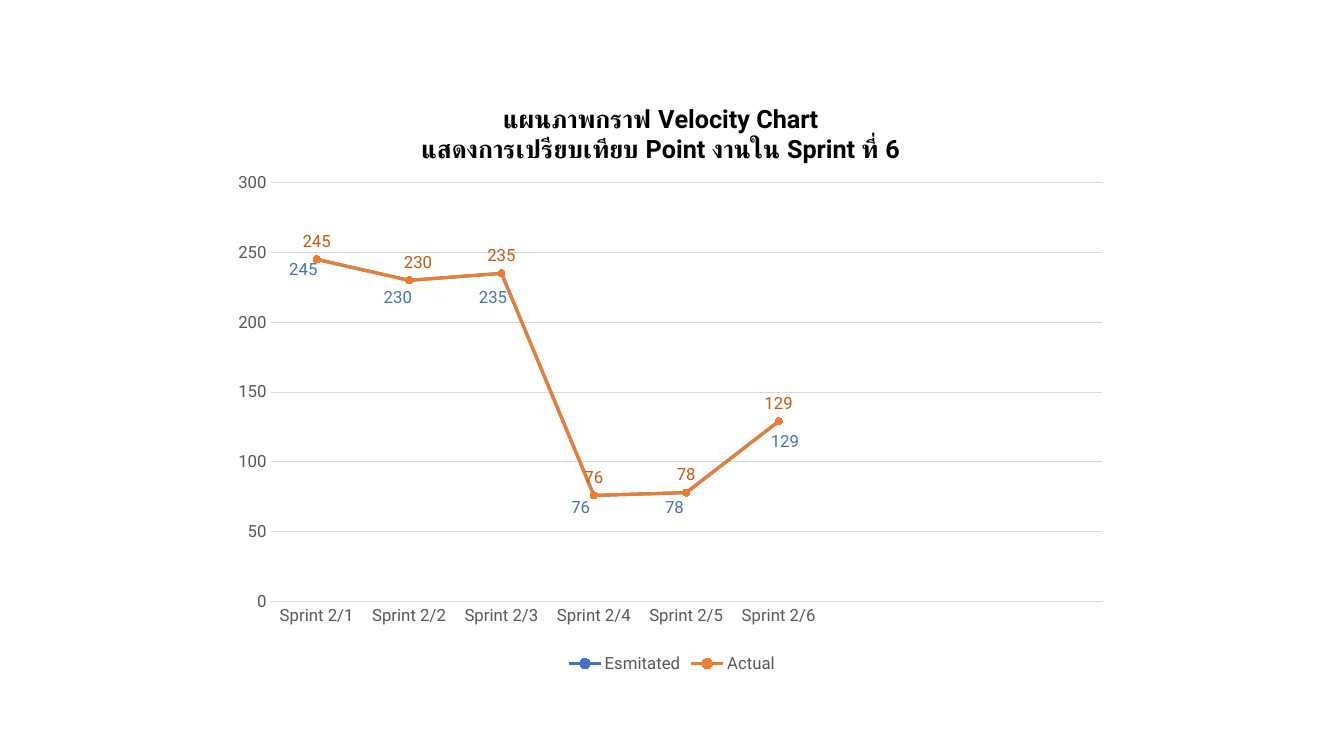
import pptx
import pptx.chart.data
import pptx.dml.color
import pptx.enum.chart
import pptx.enum.text
import pptx.oxml
import pptx.oxml.ns
import pptx.util

Pt = pptx.util.Pt
FONT = "Roboto"
COLORS = {
    "black": "000000",
    "grey": "595959",
    "grid": "D9D9D9",
    "estimated": "4472C4",
    "actual": "ED7D31",
    "actual_label": "C55A11",
}
POINTS = [245, 230, 235, 76, 78, 129]
EMPTY_SPRINTS = 3
TITLE_LINES = [
    "แผนภาพกราฟ Velocity Chart",
    "แสดงการเปรียบเทียบ Point งานใน Sprint ที่ 6",
]
ESTIMATE_POSITIONS = [
    (199.5, 181.5), (267, 201.5), (335, 201.5),
    (401, 351.5), (468, 351.5), (543.5, 304),
]


def rgb(name):
    return pptx.dml.color.RGBColor.from_string(COLORS[name])


def style_font(font, color, size=12, bold=False):
    font.name = FONT
    font.size = Pt(size)
    font.bold = bold
    font.color.rgb = rgb(color)


def style_line(line, color, width):
    line.color.rgb = rgb(color)
    line.width = Pt(width)


def place(predecessor, target=None, **fractions):
    following = predecessor.getnext()
    if following is not None and following.tag == pptx.oxml.ns.qn("c:layout"):
        predecessor.getparent().remove(following)
    parts = [f'<c:layoutTarget val="{target}"/>'] if target else []
    if target or "edge" in fractions:
        parts += ['<c:xMode val="edge"/>', '<c:yMode val="edge"/>']
    parts += [f'<c:{key} val="{fractions[key]}"/>' for key in "xywh" if key in fractions]
    namespace = pptx.oxml.ns.nsdecls("c")
    predecessor.addnext(pptx.oxml.parse_xml(
        f"<c:layout {namespace}><c:manualLayout>{''.join(parts)}</c:manualLayout></c:layout>"))


def add_title(chart):
    chart.has_title = True
    frame = chart.chart_title.text_frame
    for index, text in enumerate(TITLE_LINES):
        paragraph = frame.add_paragraph() if index else frame.paragraphs[0]
        run = paragraph.add_run()
        run.text = text
        style_font(run.font, "black", 18, True)
    title = chart.chart_title._element
    place(title.find(pptx.oxml.ns.qn("c:tx")), edge=True, x=0.217, y=0.035)


def style_axes(chart):
    for axis in (chart.category_axis, chart.value_axis):
        axis.major_tick_mark = pptx.enum.chart.XL_TICK_MARK.NONE
        axis.minor_tick_mark = pptx.enum.chart.XL_TICK_MARK.NONE
        style_font(axis.tick_labels.font, "grey")
    style_line(chart.category_axis.format.line, "grid", 0.75)
    value_axis = chart.value_axis
    value_axis.minimum_scale = 0
    value_axis.maximum_scale = 300
    value_axis.major_unit = 50
    value_axis.format.line.fill.background()
    value_axis.has_major_gridlines = True
    style_line(value_axis.major_gridlines.format.line, "grid", 0.75)


def style_series(series, color):
    series.smooth = False
    style_line(series.format.line, color, 2.25)
    marker = series.marker
    marker.style = pptx.enum.chart.XL_MARKER_STYLE.CIRCLE
    marker.size = 5
    marker.format.fill.solid()
    marker.format.fill.fore_color.rgb = rgb(color)
    style_line(marker.format.line, color, 0.75)


def label_actual(series):
    above = pptx.enum.chart.XL_LABEL_POSITION.ABOVE
    labels = series.data_labels
    labels.show_value = True
    labels.position = above
    style_font(labels.font, "actual_label")
    shifted = series.points[1].data_label
    shifted.position = above
    style_font(shifted.font, "actual_label")
    index = labels._element.find(pptx.oxml.ns.qn("c:dLbl")).find(pptx.oxml.ns.qn("c:idx"))
    place(index, x=0.01, y=0)


def add_velocity_chart(slide):
    data = pptx.chart.data.CategoryChartData()
    sprints = [f"Sprint 2/{number}" for number in range(1, len(POINTS) + 1)]
    data.categories = sprints + [""] * EMPTY_SPRINTS
    for name in ("Esmitated", "Actual"):
        data.add_series(name, POINTS + [None] * EMPTY_SPRINTS)
    chart = slide.shapes.add_chart(
        pptx.enum.chart.XL_CHART_TYPE.LINE_MARKERS,
        Pt(160), Pt(57), Pt(640), Pt(427), data).chart
    style_font(chart.font, "black", 10)
    add_title(chart)
    style_axes(chart)
    chart.has_legend = True
    chart.legend.position = pptx.enum.chart.XL_LEGEND_POSITION.BOTTOM
    chart.legend.include_in_layout = False
    style_font(chart.legend.font, "grey")
    plot = chart.plots[0]
    plot.vary_by_categories = False
    estimated, actual = plot.series
    style_series(estimated, "estimated")
    style_series(actual, "actual")
    label_actual(actual)
    plot_area = plot._element.getparent()
    existing = plot_area.find(pptx.oxml.ns.qn("c:layout"))
    if existing is None:
        existing = pptx.oxml.parse_xml(f"<c:layout {pptx.oxml.ns.nsdecls('c')}/>")
        plot_area.insert(0, existing)
    place(existing, "inner", x=0.052, y=0.172, w=0.928, h=0.701)
    plot_area.remove(existing)


def add_estimate(slide, value, left, top):
    box = slide.shapes.add_textbox(Pt(left), Pt(top), Pt(36), Pt(20))
    frame = box.text_frame
    frame.word_wrap = True
    frame.margin_right = 0
    run = frame.paragraphs[0].add_run()
    run.text = str(value)
    style_font(run.font, "estimated")


def main():
    presentation = pptx.Presentation()
    presentation.slide_width = Pt(960)
    presentation.slide_height = Pt(540)
    slide = presentation.slides.add_slide(presentation.slide_layouts[6])
    add_velocity_chart(slide)
    for value, (left, top) in zip(POINTS, ESTIMATE_POSITIONS):
        add_estimate(slide, value, left, top)
    presentation.save("out.pptx")


if __name__ == "__main__":
    main()
